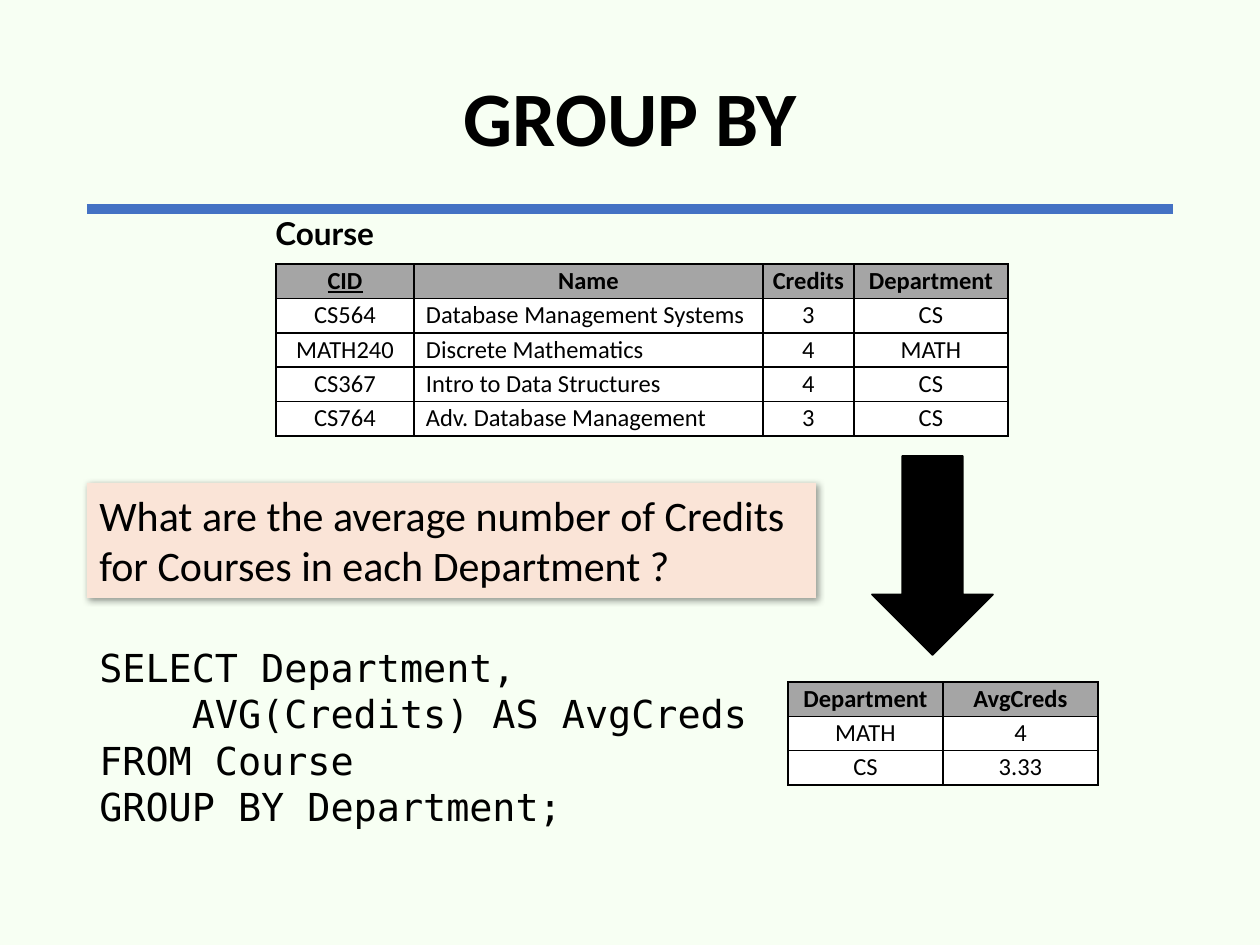
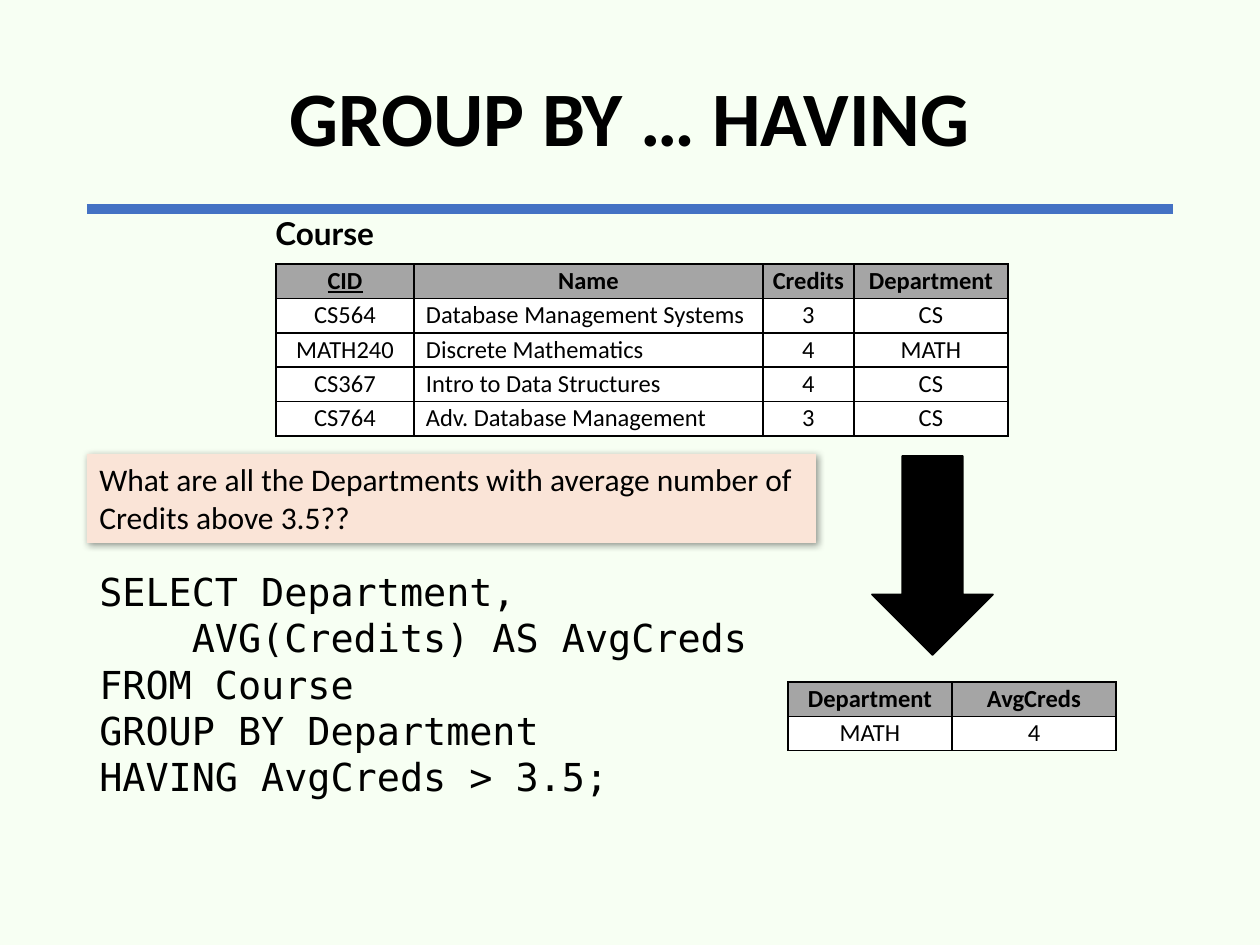
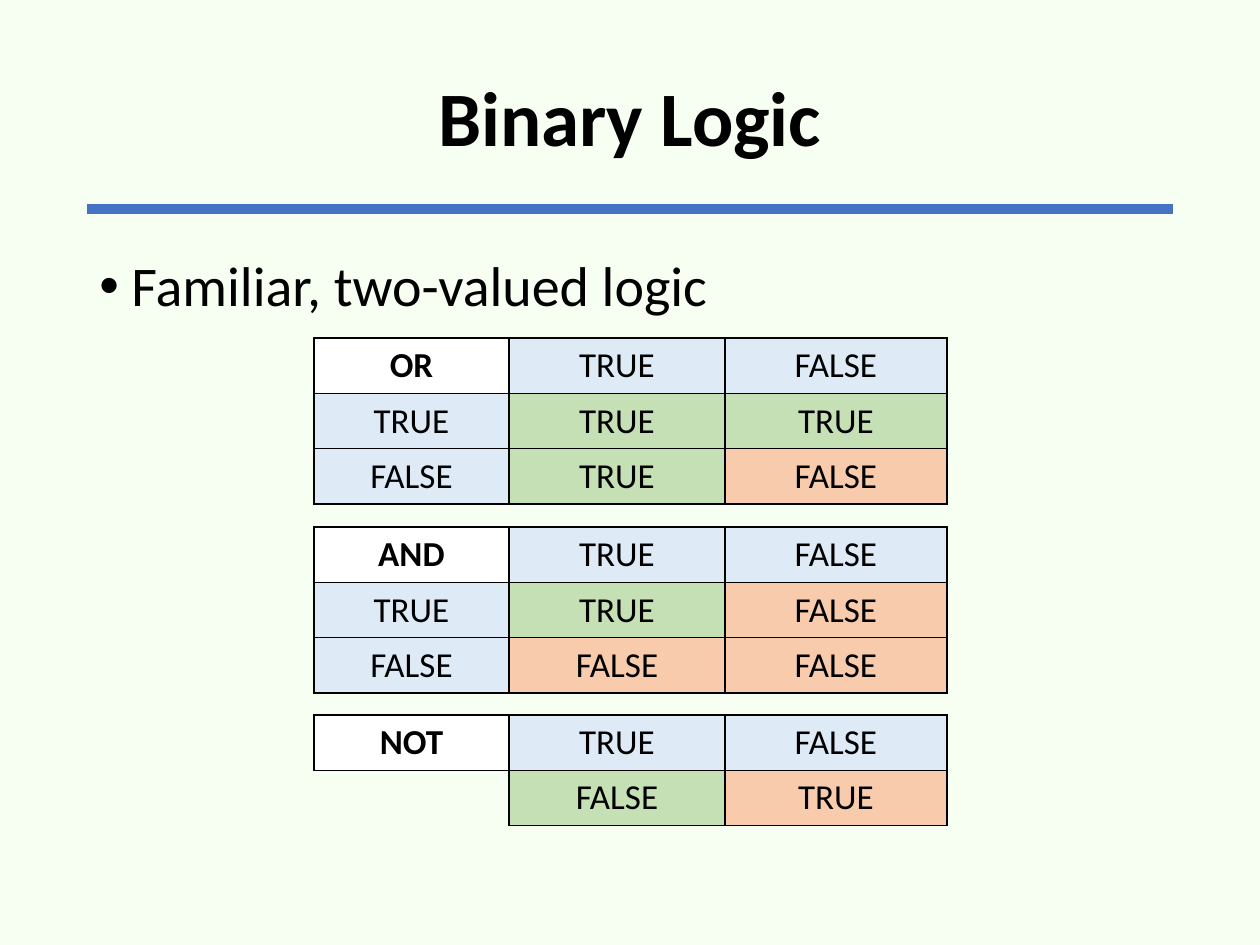
from lxml import etree
from pptx import Presentation
from pptx import util as u
from pptx.dml.color import RGBColor
from pptx.enum import shapes, text
from pptx.oxml import parse_xml
from pptx.oxml.ns import nsdecls, qn

SCALE = 914400 / 126
COLORS = {
    "background": "F7FFF3", "rule": "4472C4", "ink": "000000", "header": "A5A5A5",
    "white": "FFFFFF", "question": "FAE4D7", "label": "DEEBF7",
    "green": "C5E0B4", "orange": "F8CBAD",
}
RGB = {name: RGBColor.from_string(value) for name, value in COLORS.items()}


def write(frame, content, size, font="Calibri", bold=False, underline=False,
          align="LEFT", anchor="TOP", spacing=None, indent=0, bullet=None, wrap=True):
    frame.word_wrap = wrap
    frame.vertical_anchor = getattr(text.MSO_ANCHOR, anchor)
    for number, line in enumerate(content.split("\n")):
        paragraph = frame.paragraphs[0] if number == 0 else frame.add_paragraph()
        properties = paragraph._p.get_or_add_pPr()
        if indent:
            properties.set("marL", str(round(indent * SCALE)))
            properties.set("indent", str(round(-indent * SCALE)) if bullet else "0")
        if bullet:
            etree.SubElement(properties, qn("a:buFont")).set("typeface", "Arial")
            etree.SubElement(properties, qn("a:buChar")).set("char", bullet)
        paragraph.alignment = getattr(text.PP_ALIGN, align)
        paragraph.line_spacing = spacing
        run = paragraph.add_run()
        run.text = line
        run.font.size = u.Pt(size)
        run.font.name = font
        run.font.bold = bold
        run.font.underline = underline
        run.font.color.rgb = RGB["ink"]


def add_grid(slide, left, top, height, widths, rows, fills, size, margin=None, anchor="TOP",
             bold=(), underlined=(), indented=()):
    box = [round(n * SCALE) for n in (left, top, sum(widths), height)]
    table = slide.shapes.add_table(len(rows), len(widths), *box).table
    table.first_row = table.horz_banding = False
    for column, width in zip(table.columns, widths):
        column.width = round(width * SCALE)
    for r, row in enumerate(rows):
        for c, content in enumerate(row):
            cell = table.cell(r, c)
            if margin is not None:
                cell.margin_left = cell.margin_right = round(margin * SCALE)
                cell.margin_top = cell.margin_bottom = round(margin * SCALE)
            cell.vertical_anchor = getattr(text.MSO_ANCHOR, anchor)
            properties = cell._tc.get_or_add_tcPr()
            for side in ("lnL", "lnR", "lnT", "lnB"):
                border = etree.SubElement(properties, qn(f"a:{side}"), w="12700")
                if content or side in ("lnR", "lnT"):
                    paint = etree.SubElement(border, qn("a:solidFill"))
                    etree.SubElement(paint, qn("a:srgbClr"), val=COLORS["ink"])
                else:
                    etree.SubElement(border, qn("a:noFill"))
            if not content:
                cell.fill.background()
                continue
            cell.fill.solid()
            cell.fill.fore_color.rgb = RGB[fills[r][c]]
            shifted = r > 0 and c in indented
            write(cell.text_frame, content, size, anchor=anchor, bold=(r, c) in bold,
                  underline=(r, c) in underlined, indent=10 if shifted else 0,
                  align="LEFT" if shifted else "CENTER")


presentation = Presentation()
presentation.slide_width = round(1260 * SCALE)
presentation.slide_height = round(945 * SCALE)

slides = []
for title in ("GROUP BY", "GROUP BY … HAVING", "Binary Logic"):
    slide = presentation.slides.add_slide(presentation.slide_layouts[6])
    slide.background.fill.solid()
    slide.background.fill.fore_color.rgb = RGB["background"]
    rule = slide.shapes.add_connector(
        shapes.MSO_CONNECTOR.STRAIGHT, *[round(n * SCALE) for n in (87, 209, 1173, 209)])
    rule.line.color.rgb = RGB["rule"]
    rule.line.width = u.Pt(6)
    etree.SubElement(rule._element.spPr, qn("a:effectLst"))
    box = slide.shapes.add_textbox(*[round(n * SCALE) for n in (87, 30, 1086, 183)])
    write(box.text_frame, title, 44, bold=True, align="CENTER", anchor="MIDDLE", spacing=0.9)
    slides.append(slide)

courses = [
    ("CID", "Name", "Credits", "Department"),
    ("CS564", "Database Management Systems", "3", "CS"),
    ("MATH240", "Discrete Mathematics", "4", "MATH"),
    ("CS367", "Intro to Data Structures", "4", "CS"),
    ("CS764", "Adv. Database Management", "3", "CS"),
]
query = "SELECT Department,\n    AVG(Credits) AS AvgCreds\nFROM Course\nGROUP BY Department"
averages = [("Department", "AvgCreds"), ("MATH", "4"), ("CS", "3.33")]
examples = [
    ("What are the average number of Credits for Courses in each Department ?",
     24, 483, 115, query + ";", 638, averages, 155),
    ("What are all the Departments with average number of Credits above 3.5??",
     18, 454, 89, query + "\nHAVING AvgCreds > 3.5;", 562, averages[:2], 164),
]
for slide, example in zip(slides, examples):
    question, size, question_top, question_height, code, code_top, result, width = example
    box = slide.shapes.add_textbox(*[round(n * SCALE) for n in (87, code_top, 756, 270)])
    write(box.text_frame, code, 22, font="DejaVu Sans Mono")

    arrow = slide.shapes.add_shape(
        shapes.MSO_SHAPE.DOWN_ARROW, *[round(n * SCALE) for n in (872, 456, 121, 199)])
    arrow.shadow.inherit = False
    arrow.fill.solid()
    arrow.fill.fore_color.rgb = RGB["ink"]
    arrow.line.color.rgb = RGB["ink"]
    arrow.line.width = u.Pt(1)

    box = slide.shapes.add_textbox(*[round(n * SCALE) for n in (263, 208, 127, 51)])
    write(box.text_frame, "Course", 18, font="Lato", bold=True, wrap=False)

    panel = slide.shapes.add_shape(
        shapes.MSO_SHAPE.RECTANGLE,
        *[round(n * SCALE) for n in (87, question_top, 729, question_height)])
    panel.shadow.inherit = False
    panel.fill.solid()
    panel.fill.fore_color.rgb = RGB["question"]
    panel.line.fill.background()
    panel._element.spPr.find(qn("a:effectLst")).append(parse_xml(
        f'<a:outerShdw {nsdecls("a")} blurRad="50800" dist="12700" dir="2700000">'
        f'<a:srgbClr val="{COLORS["ink"]}"><a:alpha val="40000"/></a:srgbClr></a:outerShdw>'))
    write(panel.text_frame, question, size)

    for rows, left, top, height, widths in (
            (result, 788, 682, 103 * len(result) / 3, [width] * 2),
            (courses, 276, 264, 172, [138, 349, 91, 154])):
        fills = [["header"] * 4] + [["white"] * 4] * (len(rows) - 1)
        add_grid(slide, left, top, height, widths, rows, fills, 14, margin=2,
                 bold=[(0, c) for c in range(4)], indented=[1] if rows is courses else [],
                 underlined=[(0, 0)] if rows is courses else [])

logic_slide = slides[2]
box = logic_slide.shapes.add_textbox(*[round(n * SCALE) for n in (87, 252, 1086, 600)])
write(box.text_frame, "Familiar, two-valued logic", 32, spacing=0.9, indent=32, bullet="•")

header_fills = ["white", "label", "label"]
truth_tables = [
    ("OR", 338, [("TRUE", "TRUE", "TRUE"), ("FALSE", "TRUE", "FALSE")],
     [["label", "green", "green"], ["label", "green", "orange"]]),
    ("AND", 527, [("TRUE", "TRUE", "FALSE"), ("FALSE", "FALSE", "FALSE")],
     [["label", "green", "orange"], ["label", "orange", "orange"]]),
    ("NOT", 715, [("", "FALSE", "TRUE")], [["white", "green", "orange"]]),
]
for operator, top, body, body_fills in truth_tables:
    rows = [(operator, "TRUE", "FALSE")] + body
    add_grid(logic_slide, 314, top, 166 * len(rows) / 3, [195, 216, 222], rows,
             [header_fills] + body_fills, 20, anchor="MIDDLE", bold=[(0, 0)])

presentation.save("out.pptx")
